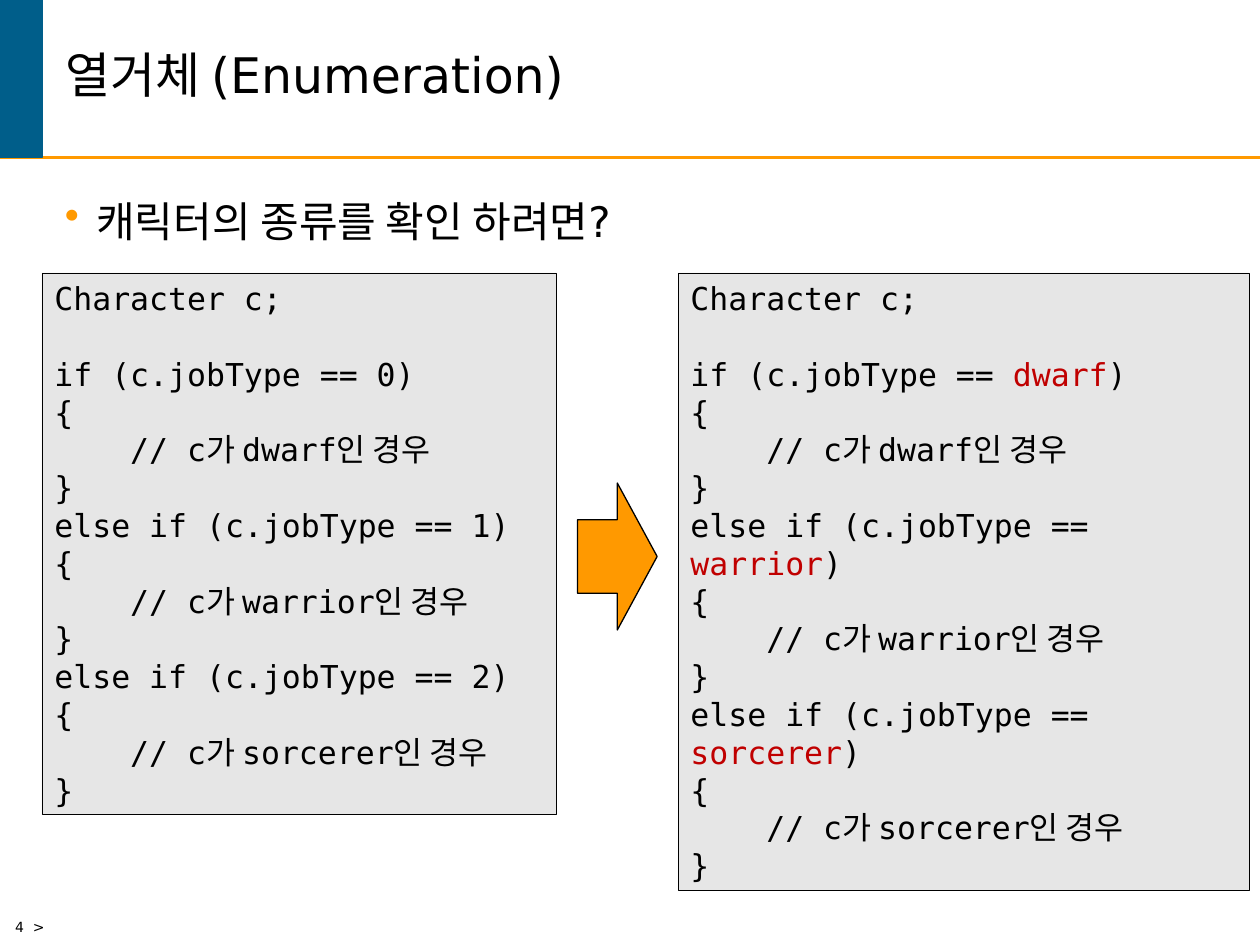
from dataclasses import dataclass

from lxml import etree
from pptx import Presentation
from pptx.dml.color import RGBColor
from pptx.enum.shapes import MSO_CONNECTOR, MSO_SHAPE
from pptx.enum.text import MSO_ANCHOR, MSO_AUTO_SIZE, PP_ALIGN
from pptx.oxml.ns import qn
from pptx.util import Pt

STRAIGHT = MSO_CONNECTOR.STRAIGHT
RECT, ARROW = MSO_SHAPE.RECTANGLE, MSO_SHAPE.RIGHT_ARROW
TOP, MIDDLE = MSO_ANCHOR.TOP, MSO_ANCHOR.MIDDLE
LEFT = PP_ALIGN.LEFT
FIT_SHAPE = MSO_AUTO_SIZE.SHAPE_TO_FIT_TEXT


@dataclass(frozen=True)
class Theme:
    """Fonts, type sizes in points and colours of the slide."""
    sans: str = "DejaVu Sans"
    mono: str = "DejaVu Sans Mono"
    title: float = 28
    body: float = 24
    code: float = 18
    code_line: float = 21.6
    code_indent: float = 43.35
    small: float = 8
    ink: str = "000000"
    accent: str = "FF9900"
    blue: str = "005E8A"
    panel: str = "E6E6E6"
    keyword: str = "C00000"


class SlideBuilder:
    """Draws each kind of element on one slide in one style."""

    def __init__(self, s, theme):
        self.s = s
        self.t = theme

    def run(self, p, text, size, font=None, color=None):
        """Add one formatted run to a paragraph."""
        r = p.add_run()
        r.text = text
        r.font.size = Pt(size)
        r.font.name = font or self.t.sans
        r.font.color.rgb = RGBColor.from_string(color or self.t.ink)

    def title(self, text, box):
        """Place and fill the title placeholder."""
        sp = self.s.shapes.title
        sp.left, sp.top, sp.width, sp.height = map(Pt, box)
        sp.text_frame.vertical_anchor = MIDDLE
        p = sp.text_frame.paragraphs[0]
        p.alignment = LEFT
        p.line_spacing = 0.85
        self.run(p, text, self.t.title)

    def text(self, text, box, size):
        """Add a wrapping text box and return its paragraph."""
        tf = self.s.shapes.add_textbox(*map(Pt, box)).text_frame
        tf.word_wrap = True
        p = tf.paragraphs[0]
        self.run(p, text, size)
        return p

    def bullet(self, text, box):
        """Add a text box with one bulleted paragraph."""
        p = self.text(text, box, self.t.body)
        p.space_before = Pt(6)
        pPr = p._p.get_or_add_pPr()
        pPr.set("marL", str(Pt(18)))
        pPr.set("indent", str(Pt(-18)))
        color = etree.SubElement(pPr, qn("a:buClr"))
        etree.SubElement(color, qn("a:srgbClr"), val=self.t.accent)
        etree.SubElement(pPr, qn("a:buChar"), char="•")

    def line(self, start, end, color, width):
        """Add a straight line without a shadow."""
        cxn = self.s.shapes.add_connector(STRAIGHT, *map(Pt, start + end))
        cxn.line.color.rgb = RGBColor.from_string(color)
        cxn.line.width = Pt(width)
        etree.SubElement(cxn._element.spPr, qn("a:effectLst"))

    def shape(self, kind, box, fill, line, width):
        """Add a flat preset shape."""
        sp = self.s.shapes.add_shape(kind, *map(Pt, box))
        sp.shadow.inherit = False
        sp.fill.solid()
        sp.fill.fore_color.rgb = RGBColor.from_string(fill)
        sp.line.color.rgb = RGBColor.from_string(line)
        sp.line.width = Pt(width)
        return sp

    def code(self, box, branches):
        """Add a code panel from (value, job, color) branches."""
        sp = self.shape(RECT, box, self.t.panel, self.t.ink, 0.25)
        tf = sp.text_frame
        tf.word_wrap = True
        tf.auto_size = FIT_SHAPE
        tf.vertical_anchor = TOP
        self.code_line(tf.paragraphs[0], "Character c;")
        for i, (value, job, color) in enumerate(branches):
            p = tf.add_paragraph()
            if i == 0:
                p.space_before = Pt(self.t.code_line)
            head = "else if" if i else "if"
            self.code_line(p, f"{head} (c.jobType == ", (value, color), ")")
            self.code_line(tf.add_paragraph(), "{")
            p = tf.add_paragraph()
            p._p.get_or_add_pPr().set("marL", str(Pt(self.t.code_indent)))
            self.code_line(p, f"// c가 {job}인 경우")
            self.code_line(tf.add_paragraph(), "}")

    def code_line(self, p, *parts):
        """Fill a paragraph with plain strings or (text, color) pairs."""
        p.alignment = LEFT
        for part in parts:
            text, color = (part, self.t.ink) if isinstance(part, str) else part
            self.run(p, text, self.t.code, self.t.mono, color)


def main():
    """Build the enumeration slide."""
    prs = Presentation()
    prs.slide_width, prs.slide_height = Pt(720), Pt(540)
    t = Theme()
    b = SlideBuilder(prs.slides.add_slide(prs.slide_layouts[5]), t)
    jobs = ("dwarf", "warrior", "sorcerer")

    b.line((0, 90), (720, 90), t.accent, 1.5)
    b.shape(RECT, (0, 0, 24, 90), t.blue, t.blue, 1)
    b.title("열거체 (Enumeration)", (30, 0, 672, 90))
    b.bullet("캐릭터의 종류를 확인 하려면?", (30, 108, 672, 378))
    b.text("4  >", (1.5, 521.5, 101, 18.5), t.small)
    b.code((24, 156, 294, 309.6),
           [(str(i), job, t.ink) for i, job in enumerate(jobs)])
    b.shape(ARROW, (330, 276, 45.5, 84), t.accent, t.ink, 0.75)
    b.code((387.5, 156, 326.5, 352.8), [(job, job, t.keyword) for job in jobs])
    prs.save("out.pptx")


if __name__ == "__main__":
    main()
